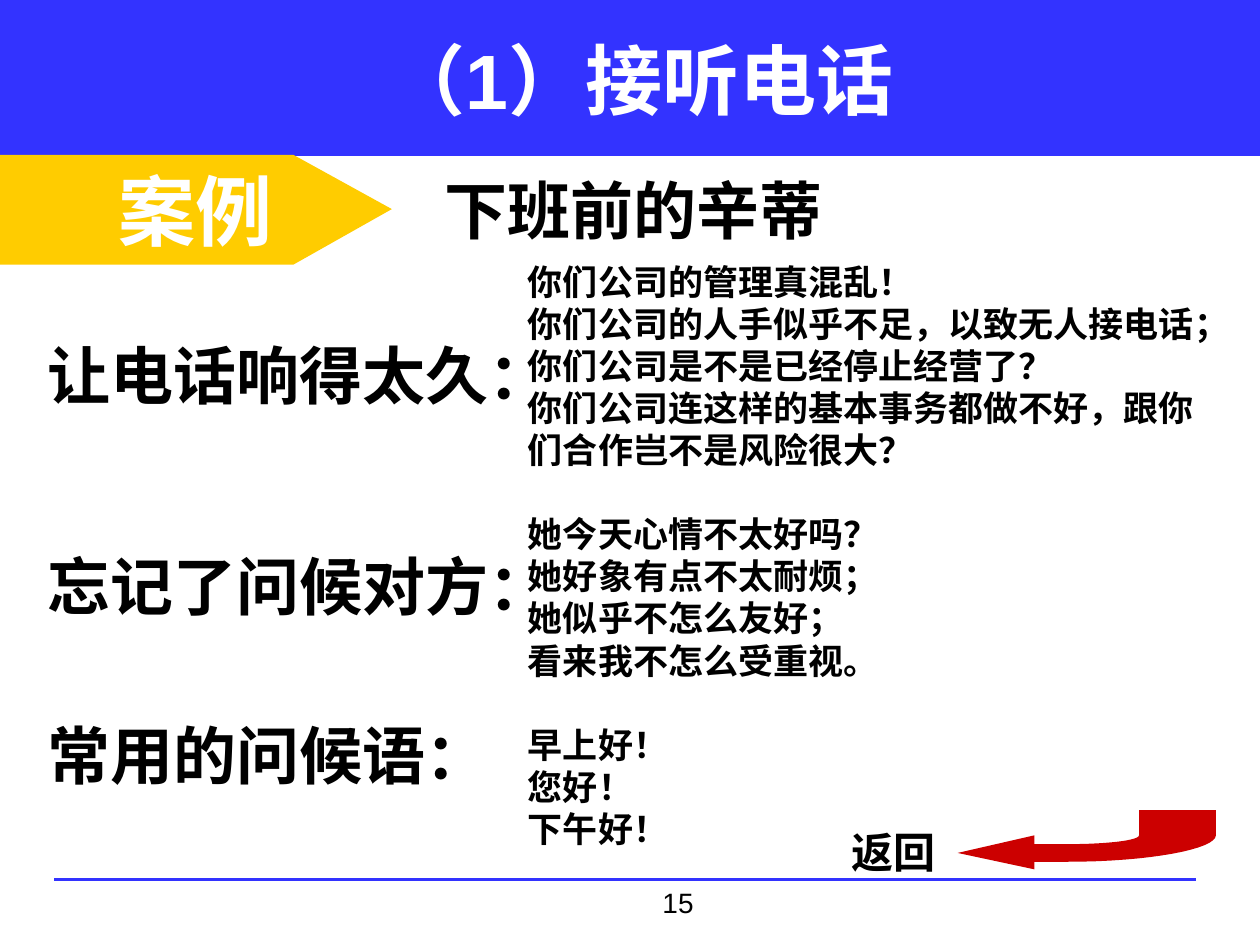
from lxml import etree
from pptx import Presentation
from pptx.dml.color import RGBColor
from pptx.enum import shapes, text
from pptx.oxml import ns
from pptx.util import Inches, Pt

THEME = {
    "font": "Arial",
    "blue": "3333FF", "yellow": "FFCC00", "red": "CC0000",
    "white": "FFFFFF", "black": "000000",
    "title": 44, "heading": 36, "link": 24, "reply": 20, "number": 16,
}

TITLE = "（1）接听电话"
TAG = "案例"
# text, left, top, width, height, size, bold
LABELS = [
    ("下班前的辛蒂", 3.43, 1.31, 3.2, 0.7, "heading", True),
    ("让电话响得太久：", 0.28, 2.62, 4.2, 0.7, "heading", True),
    ("忘记了问候对方：", 0.28, 4.3, 4.2, 0.7, "heading", True),
    ("常用的问候语：", 0.28, 5.64, 3.7, 0.7, "heading", True),
    ("返回", 6.66, 6.51, 0.88, 0.5, "link", True),
    ("15", 5.16, 6.98, 0.63, 0.37, "number", False),
]
REPLIES = [
    ["你们公司的管理真混乱！", "你们公司的人手似乎不足，以致无人接电话；",
     "你们公司是不是已经停止经营了？", "你们公司连这样的基本事务都做不好，跟你",
     "们合作岂不是风险很大？"],
    ["她今天心情不太好吗？", "她好象有点不太耐烦；", "她似乎不怎么友好；",
     "看来我不怎么受重视。"],
    ["早上好！", "您好！", "下午好！"],
]
GROUP_GAP = 24  # points, one line of replies

TAG_OUTLINE = [(0, 1.23), (2.33, 1.23), (3.11, 1.66), (2.33, 2.1), (0, 2.1)]


def bezier(start, c1, c2, end, steps=16):
    """Points along a cubic curve, both ends included."""
    points = []
    for i in range(steps + 1):
        t = i / steps
        weights = ((1 - t) ** 3, 3 * t * (1 - t) ** 2, 3 * t * t * (1 - t), t ** 3)
        points.append(tuple(sum(w * p[axis] for w, p in zip(weights, (start, c1, c2, end)))
                            for axis in (0, 1)))
    return points


ARROW_OUTLINE = [
    (9.65, 6.43),
    *bezier((9.65, 6.63), (9.65, 6.74), (9.12, 6.84), (8.47, 6.84)),
    (8.21, 6.84), (8.21, 6.9), (7.6, 6.77), (8.21, 6.63), (8.21, 6.7),
    *bezier((8.47, 6.7), (8.79, 6.7), (9.04, 6.67), (9.04, 6.63)),
    (9.04, 6.43),
]


def color(name):
    return RGBColor.from_string(THEME[name])


def place(shape, left, top, width, height):
    shape.left, shape.top = Inches(left), Inches(top)
    shape.width, shape.height = Inches(width), Inches(height)


def write(paragraph, words, size, ink="black", bold=True):
    run = paragraph.add_run()
    run.text = words
    run.font.name = THEME["font"]
    run.font.size = Pt(THEME[size])
    run.font.bold = bold
    run.font.color.rgb = color(ink)


def write_centred(shape, words, size, ink):
    frame = shape.text_frame
    frame.vertical_anchor = text.MSO_ANCHOR.MIDDLE
    frame.auto_size = text.MSO_AUTO_SIZE.NONE
    frame.paragraphs[0].alignment = text.PP_ALIGN.CENTER
    write(frame.paragraphs[0], words, size, ink)


def paint(shape, fill):
    shape.shadow.inherit = False
    shape.fill.solid()
    shape.fill.fore_color.rgb = color(fill)
    shape.line.fill.background()


def add_outline(slide, outline, fill):
    """Closed polygon; points go in as EMU because the builder rounds them."""
    start, *rest = [(Inches(x), Inches(y)) for x, y in outline]
    builder = slide.shapes.build_freeform(*start)
    builder.add_line_segments(rest, close=True)
    shape = builder.convert_to_shape()
    paint(shape, fill)
    return shape


def add_band(slide):
    """Blue title band, sent behind the placeholders."""
    band = slide.shapes.add_shape(shapes.MSO_SHAPE.RECTANGLE, 0, 0, Inches(10), Inches(1.23))
    paint(band, "blue")
    band.line.color.rgb = color("blue")
    band.line.width = Pt(0.75)
    slide.shapes._spTree.insert(2, band._element)


def add_footer_rule(slide):
    rule = slide.shapes.add_connector(shapes.MSO_CONNECTOR.STRAIGHT, Inches(0.43),
                                      Inches(6.98), Inches(9.49), Inches(6.98))
    rule.line.color.rgb = color("blue")
    rule.line.width = Pt(2.25)
    etree.SubElement(rule._element.spPr, ns.qn("a:effectLst"))


def fill_replies(body):
    place(body, 4.09, 2.02, 5.91, 4.77)
    frame = body.text_frame
    frame.auto_size = text.MSO_AUTO_SIZE.NONE
    frame.word_wrap = True
    for g, group in enumerate(REPLIES):
        for i, reply in enumerate(group):
            first = g == 0 and i == 0
            paragraph = frame.paragraphs[0] if first else frame.add_paragraph()
            paragraph.space_before = Pt(GROUP_GAP if g and i == 0 else 0)
            properties = paragraph._p.get_or_add_pPr()
            properties.set("marL", "0")
            properties.set("indent", "0")
            etree.SubElement(properties, ns.qn("a:buNone"))
            write(paragraph, reply, "reply")


def add_label(slide, words, left, top, width, height, size, bold):
    label = slide.shapes.add_textbox(*map(Inches, (left, top, width, height)))
    frame = label.text_frame
    frame.word_wrap = size == "number"
    frame.auto_size = text.MSO_AUTO_SIZE.SHAPE_TO_FIT_TEXT
    write(frame.paragraphs[0], words, size, bold=bold)


def main():
    deck = Presentation()
    deck.slide_width, deck.slide_height = Inches(10), Inches(7.5)
    slide = deck.slides.add_slide(deck.slide_layouts[1])

    add_band(slide)
    add_footer_rule(slide)
    place(slide.shapes.title, 0.59, 0, 9, 1.25)
    write_centred(slide.shapes.title, TITLE, "title", "white")
    fill_replies(slide.placeholders[1])

    tag = add_outline(slide, TAG_OUTLINE, "yellow")
    write_centred(tag, TAG, "title", "white")
    add_outline(slide, ARROW_OUTLINE, "red")

    for label in LABELS:
        add_label(slide, *label)

    deck.save("out.pptx")


if __name__ == "__main__":
    main()
